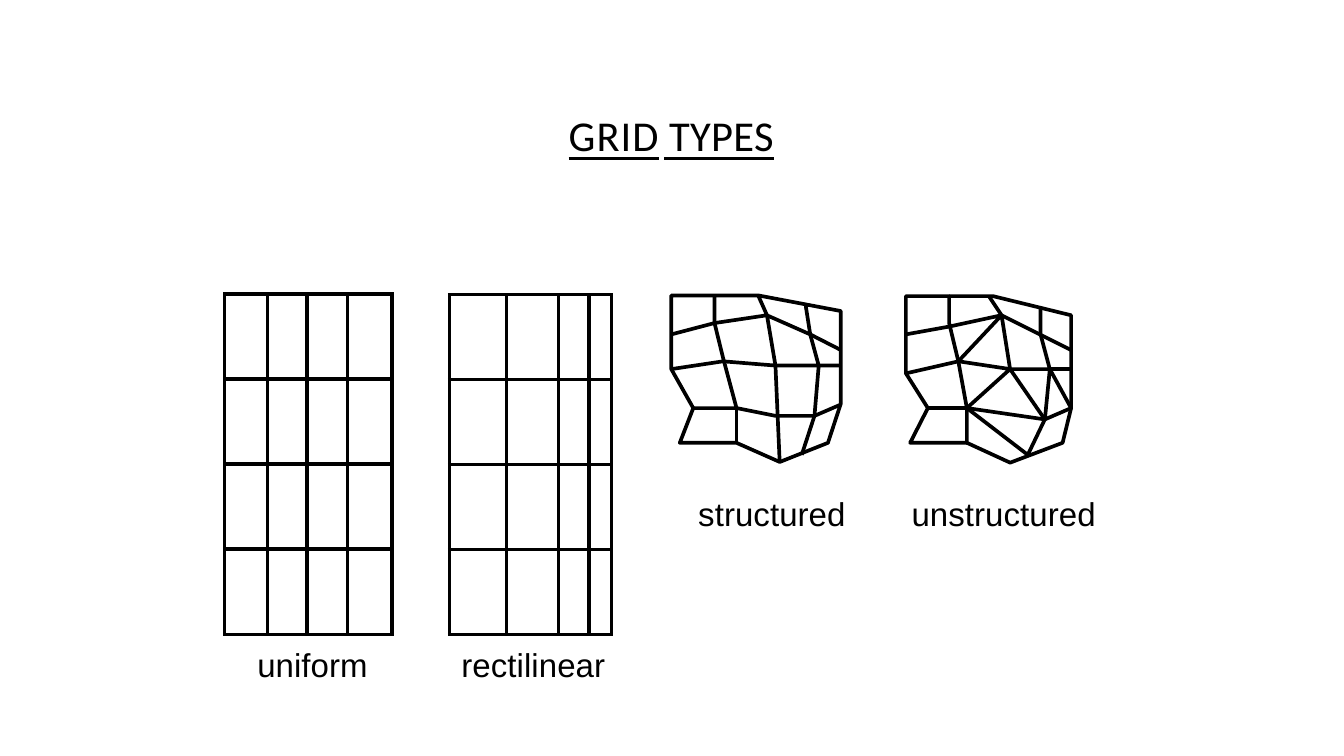
"""Build the slide that compares four grid types."""
import pptx
import pptx.dml.color
import pptx.enum.text
import pptx.oxml
import pptx.oxml.ns
import pptx.util
from pptx.util import Inches

SLIDE_SIZE = (18.96, 10.67)
BLACK = "000000"
LINE_WIDTH = 3.75
ROW_HEIGHT = 1.2
ROW_COUNT = 4

TITLE_BOX = (3.48, 1.29, 12, 1.21)
TITLE_RUNS = [("grid", 110), (" ", -480), ("types", 30)]
TITLE_FORMAT = {"name": "Calibri", "size": pptx.util.Pt(54), "underline": True}
LABEL_FORMAT = {"name": "Arial", "size": pptx.util.Pt(33.5)}
LABEL_SPACING = 10
LABELS = [
    ("uniform", (3.63, 9.1, 1.6, 0.56)),
    ("rectilinear", (6.51, 9.1, 2.07, 0.56)),
    ("structured", (9.85, 6.96, 2.12, 0.56)),
    ("unstructured", (12.86, 6.96, 2.64, 0.56)),
]
TABLES = [
    ((3.17, 4.15), (0.6, 0.56, 0.57, 0.63)),
    ((6.34, 4.16), (0.81, 0.73, 0.43, 0.32)),
]
STRUCTURED_GRID = [
    [(9.47, 4.17), (9.47, 5.21), (9.78, 5.76), (9.59, 6.25), (10.39, 6.25), (11, 6.52),
     (11.68, 6.25), (11.86, 5.7), (11.86, 4.39), (10.7, 4.17), (9.47, 4.17)],
    [(10.08, 4.18), (10.08, 4.56), (10.2, 5.05), (10.39, 5.76), (9.77, 5.76)],
    [(9.47, 4.72), (10.08, 4.56), (10.82, 4.45), (10.7, 4.18)],
    [(9.47, 5.21), (10.2, 5.1), (10.94, 5.16), (11, 6.53)],
    [(10.39, 5.76), (10.39, 6.25)],
    [(10.82, 4.45), (10.94, 5.16), (11.55, 5.16), (11.43, 4.72), (10.82, 4.45)],
    [(11.37, 4.28), (11.37, 4.34), (11.43, 4.72), (11.86, 4.94)],
    [(10.39, 5.76), (10.94, 5.87), (11.49, 5.87), (11.55, 5.16), (11.86, 5.16)],
    [(11.31, 6.42), (11.49, 5.87), (11.86, 5.71)],
]
UNSTRUCTURED_GRID = [
    [(12.78, 4.18), (12.78, 5.27), (13.09, 5.76), (12.84, 6.25), (13.64, 6.25),
     (13.64, 5.76), (13.52, 5.1), (13.39, 4.56), (13.39, 4.18), (12.78, 4.18)],
    [(13.39, 4.18), (14.01, 4.18), (15.11, 4.45), (15.11, 5.76), (14.99, 6.25),
     (14.25, 6.53), (13.64, 6.25)],
    [(12.78, 4.72), (13.39, 4.61), (14.13, 4.45), (13.52, 5.1), (14.25, 5.21),
     (13.64, 5.76), (14.5, 6.42), (14.74, 5.92), (14.25, 5.21), (14.13, 4.45),
     (13.95, 4.18)],
    [(12.78, 5.27), (13.52, 5.1)],
    [(13.09, 5.76), (13.64, 5.76), (14.74, 5.92), (15.11, 5.76), (14.81, 5.21),
     (14.74, 5.92)],
    [(14.13, 4.45), (15.11, 4.94)],
    [(14.68, 4.34), (14.68, 4.72), (14.81, 5.21), (14.25, 5.21)],
    [(14.81, 5.21), (15.11, 5.21)],
]


def set_color(color_format, value):
    color_format.rgb = pptx.dml.color.RGBColor.from_string(value)


def apply_format(target, values):
    for name, value in values.items():
        setattr(target, name, value)


def add_run(paragraph, text, spacing, font_format):
    run = paragraph.add_run()
    run.text = text
    apply_format(run.font, font_format)
    set_color(run.font.color, BLACK)
    properties = run._r.get_or_add_rPr()
    properties.set("spc", str(spacing))
    return properties


def add_title(slide):
    title = slide.shapes.title
    title.left, title.top, title.width, title.height = map(Inches, TITLE_BOX)
    apply_format(title.text_frame, {
        "vertical_anchor": pptx.enum.text.MSO_ANCHOR.MIDDLE,
        "auto_size": pptx.enum.text.MSO_AUTO_SIZE.NONE,
        "word_wrap": True,
    })
    paragraph = title.text_frame.paragraphs[0]
    apply_format(paragraph, {
        "alignment": pptx.enum.text.PP_ALIGN.CENTER, "line_spacing": 0.9})
    for text, spacing in TITLE_RUNS:
        add_run(paragraph, text, spacing, TITLE_FORMAT).set("cap", "small")


def add_grid_line(slide, points):
    points = [(Inches(x), Inches(y)) for x, y in points]
    if len(points) == 2:
        shape = slide.shapes.add_connector(
            pptx.enum.shapes.MSO_CONNECTOR.STRAIGHT, *points[0], *points[1])
        shape._element.spPr.append(pptx.oxml.parse_xml(
            f"<a:effectLst {pptx.oxml.ns.nsdecls('a')}/>"))
    else:
        builder = slide.shapes.build_freeform(*points[0], scale=1.0)
        builder.add_line_segments(points[1:], close=points[0] == points[-1])
        shape = builder.convert_to_shape()
        shape.shadow.inherit = False
        shape.fill.background()
    shape.line.width = pptx.util.Pt(LINE_WIDTH)
    set_color(shape.line.color, BLACK)


def add_label(slide, text, box):
    frame = slide.shapes.add_textbox(*map(Inches, box)).text_frame
    apply_format(frame, {
        "margin_left": 0, "margin_top": 0, "margin_right": 0, "margin_bottom": 0,
        "word_wrap": True,
        "auto_size": pptx.enum.text.MSO_AUTO_SIZE.SHAPE_TO_FIT_TEXT,
    })
    add_run(frame.paragraphs[0], text, LABEL_SPACING, LABEL_FORMAT)


def format_cell(cell):
    properties = cell._tc.get_or_add_tcPr()
    for side in ("lnL", "lnR", "lnT", "lnB"):
        properties.append(pptx.oxml.parse_xml(
            f"<a:{side} {pptx.oxml.ns.nsdecls('a')} w='{pptx.util.Pt(LINE_WIDTH)}'>"
            f"<a:solidFill><a:srgbClr val='{BLACK}'/></a:solidFill></a:{side}>"))
    cell.fill.background()


def add_grid_table(slide, corner, widths):
    size = (sum(widths), ROW_COUNT * ROW_HEIGHT)
    table = slide.shapes.add_table(
        ROW_COUNT, len(widths), *map(Inches, corner + size)).table
    apply_format(table, {"first_row": False, "horz_banding": False})
    for column, width in zip(table.columns, widths):
        column.width = Inches(width)
    for row in table.rows:
        row.height = Inches(ROW_HEIGHT)
    for cell in table.iter_cells():
        format_cell(cell)


def main():
    presentation = pptx.Presentation()
    presentation.slide_width, presentation.slide_height = map(Inches, SLIDE_SIZE)
    slide = presentation.slides.add_slide(presentation.slide_layouts[5])
    add_title(slide)
    for points in STRUCTURED_GRID + UNSTRUCTURED_GRID:
        add_grid_line(slide, points)
    for text, box in LABELS:
        add_label(slide, text, box)
    for corner, widths in TABLES:
        add_grid_table(slide, corner, widths)
    presentation.save("out.pptx")


if __name__ == "__main__":
    main()
